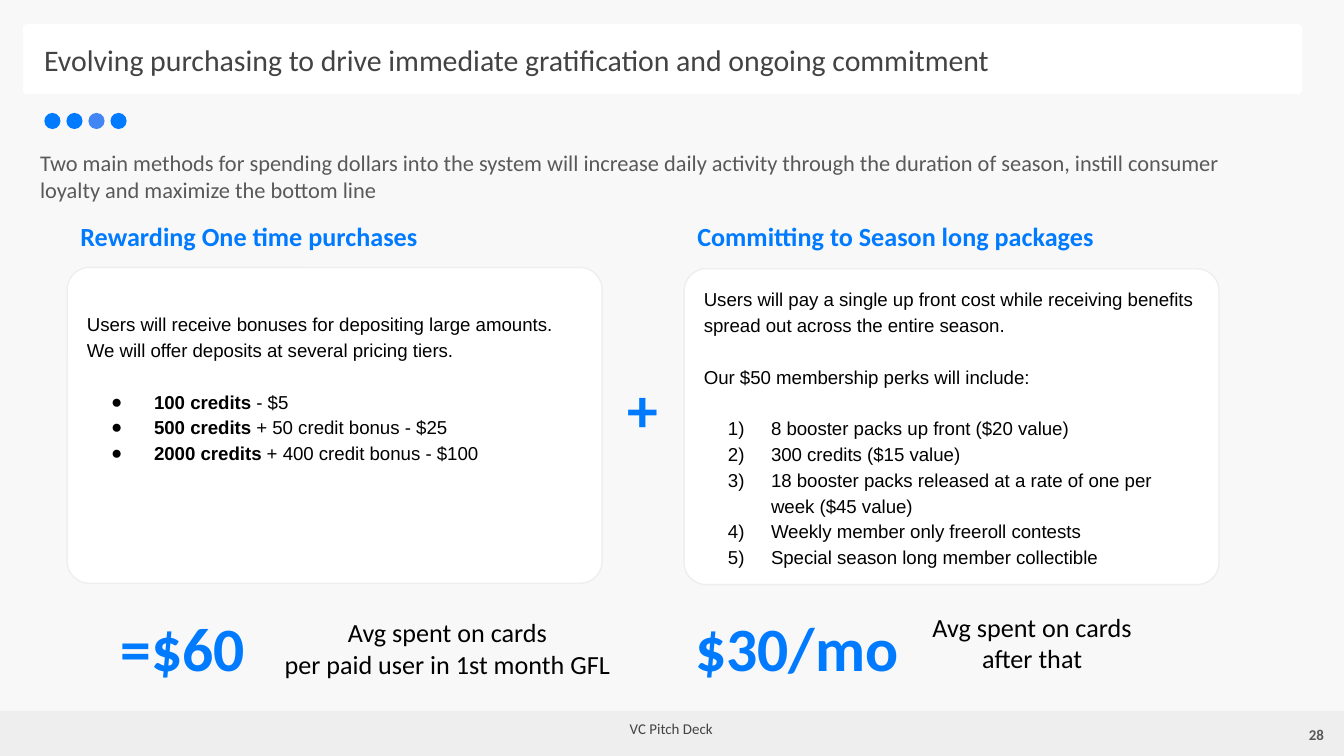
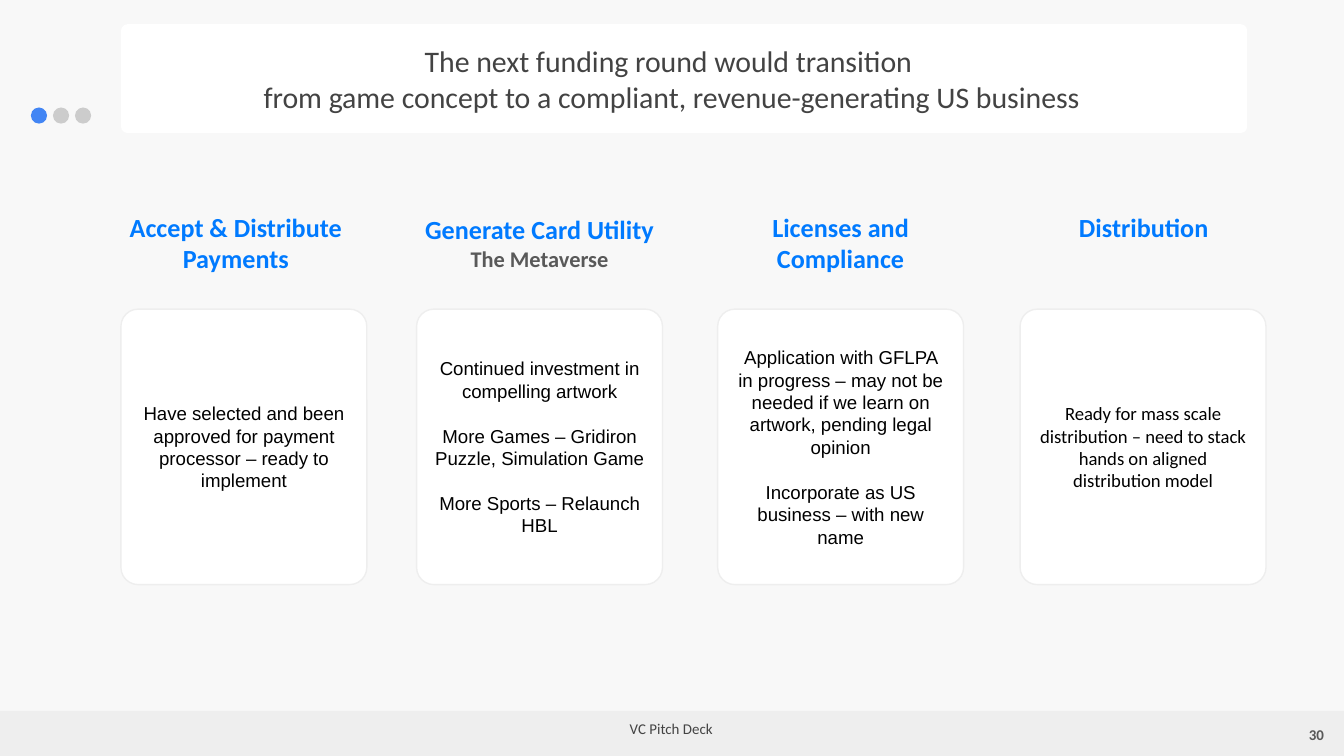
from dataclasses import dataclass
from typing import NamedTuple

from lxml import etree
from pptx import Presentation
from pptx.dml.color import RGBColor
from pptx.enum.shapes import MSO_SHAPE
from pptx.enum.text import MSO_ANCHOR, PP_ALIGN
from pptx.oxml.ns import qn
from pptx.util import Inches, Pt

RECTANGLE = MSO_SHAPE.RECTANGLE
ROUNDED = MSO_SHAPE.ROUNDED_RECTANGLE
OVAL = MSO_SHAPE.OVAL
LEFT, CENTER, RIGHT = PP_ALIGN.LEFT, PP_ALIGN.CENTER, PP_ALIGN.RIGHT
TOP, MIDDLE = MSO_ANCHOR.TOP, MSO_ANCHOR.MIDDLE

COLUMNS, ROWS = 100, 56.25
BULLET, NUMBER = "bullet", "number"


class Type(NamedTuple):
    size: float
    color: str
    bold: bool = False
    font: str = "Calibri"


@dataclass(frozen=True)
class Theme:
    background: str = "F8F8F8"
    card: str = "FFFFFF"
    band: str = "EEEEEE"
    accent: str = "007AFF"
    second_accent: str = "4285F4"
    inactive: str = "CCCCCC"
    ink: str = "000000"
    title: Type = Type(16, "434343")
    lead: Type = Type(12, "595959")
    subheading: Type = Type(12, "595959", True)
    heading: Type = Type(14, "007AFF", True)
    figure: Type = Type(33, "007AFF", True)
    caption: Type = Type(14, "000000")
    body: Type = Type(10, "000000", font="Arial")
    strong: Type = Type(10, "000000", True, "Arial")
    plain: Type = Type(10, "000000")
    footer: Type = Type(8, "434343")
    page_number: Type = Type(8, "595959", True)
    inset: float = 1
    loose: float = 1.15
    gap: float = 12
    loose_gap: float = 13.8


@dataclass
class Para:
    """Spans are (text, type) pairs; a newline in a text is a line break."""
    spans: list
    before: float = 0
    marker: str = ""


def color(value):
    return RGBColor.from_string(value)


def add_marker(para, kind, ink):
    properties = para._p.get_or_add_pPr()
    properties.set("marL", str(Inches(0.5)))
    properties.set("indent", str(Inches(-0.32)))
    tint = etree.SubElement(properties, qn("a:buClr"))
    etree.SubElement(tint, qn("a:srgbClr"), val=ink)
    etree.SubElement(properties, qn("a:buFont"), typeface="Arial")
    if kind == NUMBER:
        etree.SubElement(properties, qn("a:buAutoNum"), type="arabicParenR")
    else:
        etree.SubElement(properties, qn("a:buChar"), char="●")


class DeckBuilder:
    """Draws on the current page; areas are (column, row, columns, rows)."""

    def __init__(self, theme):
        self.theme = theme
        self.deck = Presentation()
        self.deck.slide_width = Inches(10)
        self.deck.slide_height = Inches(5.625)
        self.page = None

    def across(self, columns):
        return round(self.deck.slide_width * columns / COLUMNS)

    def down(self, rows):
        return round(self.deck.slide_height * rows / ROWS)

    def place(self, area):
        column, row, columns, rows = area
        return (self.across(column), self.down(row),
                self.across(columns), self.down(rows))

    def new_page(self, number):
        self.page = self.deck.slides.add_slide(self.deck.slide_layouts[6])
        fill = self.page.background.fill
        fill.solid()
        fill.fore_color.rgb = color(self.theme.background)
        self.shape(RECTANGLE, (0, 52.9, 100, 3.5), self.theme.band)
        self.text((40.2, 52.9, 19.5, 3.4), "VC Pitch Deck", self.theme.footer, CENTER)
        self.text((93.5, 52.5, 6, 4.3), str(number), self.theme.page_number,
                  RIGHT, MIDDLE)

    def shape(self, kind, area, fill, outline=None, rounding=None):
        shape = self.page.shapes.add_shape(kind, *self.place(area))
        shape.shadow.inherit = False
        shape.fill.solid()
        shape.fill.fore_color.rgb = color(fill)
        if outline:
            shape.line.color.rgb = color(outline)
            shape.line.width = Pt(0.75)
        else:
            shape.line.fill.background()
        if rounding is not None:
            shape.adjustments[0] = rounding
        return shape

    def fill_text(self, box, paras, align=LEFT, anchor=TOP, spacing=None, lift=0):
        """Fills a box; lift adds rows of bottom inset."""
        frame = box.text_frame
        frame.word_wrap = True
        frame.vertical_anchor = anchor
        frame.margin_left = frame.margin_right = self.across(self.theme.inset)
        frame.margin_top = self.down(self.theme.inset)
        frame.margin_bottom = self.down(self.theme.inset + lift)
        for index, content in enumerate(paras):
            para = frame.add_paragraph() if index else frame.paragraphs[0]
            if content.marker:
                add_marker(para, content.marker, self.theme.ink)
            para.alignment = align
            if spacing:
                para.line_spacing = spacing
            if content.before:
                para.space_before = Pt(content.before)
            for words, style in content.spans:
                for number, line in enumerate(words.split("\n")):
                    if number:
                        para.add_line_break()
                    self.span(para, line, style)

    def span(self, para, words, style):
        span = para.add_run()
        span.text = words
        span.font.name = style.font
        span.font.size = Pt(style.size)
        span.font.bold = style.bold
        span.font.color.rgb = color(style.color)

    def text(self, area, words, style, align=LEFT, anchor=TOP):
        self.paras(area, [Para([(words, style)])], align, anchor)

    def paras(self, area, paras, align=LEFT, anchor=TOP):
        box = self.page.shapes.add_textbox(*self.place(area))
        self.fill_text(box, paras, align, anchor)

    def title(self, panel, area, words, align=LEFT):
        self.shape(ROUNDED, panel, self.theme.card, rounding=0.06)
        self.text(area, words, self.theme.title, align)

    def dots(self, column, row, fills):
        for index, fill in enumerate(fills):
            self.shape(OVAL, (column + 1.64 * index, row, 1.2, 1.2), fill)

    def card(self, area, paras, align=LEFT, spacing=None, lift=0):
        box = self.shape(ROUNDED, area, self.theme.card, self.theme.band, 0.07)
        self.fill_text(box, paras, align, MIDDLE, spacing, lift)


def purchasing_page(builder):
    theme = builder.theme
    builder.new_page(28)
    builder.title((1.7, 1.8, 95.2, 5.2), (2.3, 2.1, 97.1, 4.6),
                  "Evolving purchasing to drive immediate gratification "
                  "and ongoing commitment")
    builder.dots(3.3, 8.4, [theme.accent, theme.accent,
                            theme.second_accent, theme.accent])
    builder.text((2, 10.1, 93.8, 6.1),
                 "Two main methods for spending dollars into the system will increase "
                 "daily activity through the duration of season, instill consumer "
                 "loyalty and maximize the bottom line", theme.lead)

    one_time = [Para([("Users will receive bonuses for depositing large amounts. "
                       "We will offer deposits at several pricing tiers.", theme.body)])]
    tiers = [("100 credits", " - $5"),
             ("500 credits", " + 50 credit bonus - $25"),
             ("2000 credits", " + 400 credit bonus - $100")]
    for index, (credits, offer) in enumerate(tiers):
        one_time.append(Para([(credits, theme.strong), (offer, theme.body)],
                             0 if index else theme.loose_gap, BULLET))

    season = [Para([("Users will pay a single up front cost while receiving benefits "
                     "spread out across the entire season.", theme.body)]),
              Para([("Our $50 membership perks will include:", theme.body)],
                   theme.loose_gap)]
    perks = ["8 booster packs up front ($20 value)",
             "300 credits ($15 value)",
             "18 booster packs released at a rate of one per week ($45 value)",
             "Weekly member only freeroll contests",
             "Special season long member collectible"]
    for index, perk in enumerate(perks):
        season.append(Para([(perk, theme.body)],
                           0 if index else theme.loose_gap, NUMBER))

    methods = [(5, 19.9, "Rewarding One time purchases", one_time, 5.7),
               (50.9, 20, "Committing to Season long packages", season, 0)]
    for column, row, heading, paras, lift in methods:
        builder.text((column, 15.4, 43.4, 4.4), heading, theme.heading)
        builder.card((column, row, 39.8, 23.5), paras, spacing=theme.loose, lift=lift)

    figures = [((0, 44.4, 27.2, 7.6), "=$60"),
               ((41.1, 26.6, 13.5, 7.6), "+"),
               ((42.9, 44.4, 32.8, 7.6), "$30/mo")]
    for area, figure in figures:
        builder.text(area, figure, theme.figure, CENTER)
    builder.text((16.9, 44.9, 32.8, 6.7),
                 "Avg spent on cards\nper paid user in 1st month GFL",
                 theme.caption, CENTER)
    builder.paras((60.4, 44.5, 32.8, 6.7),
                  [Para([("Avg spent on cards", theme.caption)]),
                   Para([("after that", theme.caption)])], CENTER)


def funding_page(builder):
    theme = builder.theme
    builder.new_page(30)
    builder.title((9, 1.8, 83.8, 8.1), (5.5, 2.2, 89, 4.6),
                  "The next funding round would transition \n"
                  "from game concept to a compliant, revenue-generating US business",
                  CENTER)
    builder.dots(2.3, 8, [theme.second_accent, theme.inactive, theme.inactive])

    workstreams = [
        (9, (5.8, 14.7, 23.5, 6.7), ["Accept & Distribute Payments"], theme.body,
         ["Have selected and been approved for payment processor – ready to implement"]),
        (31, (29, 14.9, 22.3, 6.4), ["Generate Card Utility", "The Metaverse"],
         theme.body,
         ["Continued investment in compelling artwork",
          "More Games – Gridiron Puzzle, Simulation Game",
          "More Sports – Relaunch HBL"]),
        (53.4, (55.1, 14.7, 14.9, 6.7), ["Licenses and Compliance"], theme.body,
         ["Application with GFLPA in progress – may not be needed if we learn on "
          "artwork, pending legal opinion",
          "Incorporate as US business – with new name"]),
        (75.9, (75, 14.7, 20.2, 4.4), ["Distribution"], theme.plain,
         ["Ready for mass scale distribution – need to stack hands on aligned "
          "distribution model"]),
    ]
    for column, heading_area, headings, style, notes in workstreams:
        builder.paras(heading_area,
                      [Para([(words, level)]) for words, level
                       in zip(headings, (theme.heading, theme.subheading))], CENTER)
        builder.card((column, 23, 18.3, 20.5),
                     [Para([(note, style)], theme.gap if index else 0)
                      for index, note in enumerate(notes)], CENTER)


def main():
    builder = DeckBuilder(Theme())
    purchasing_page(builder)
    funding_page(builder)
    builder.deck.save("out.pptx")


if __name__ == "__main__":
    main()
